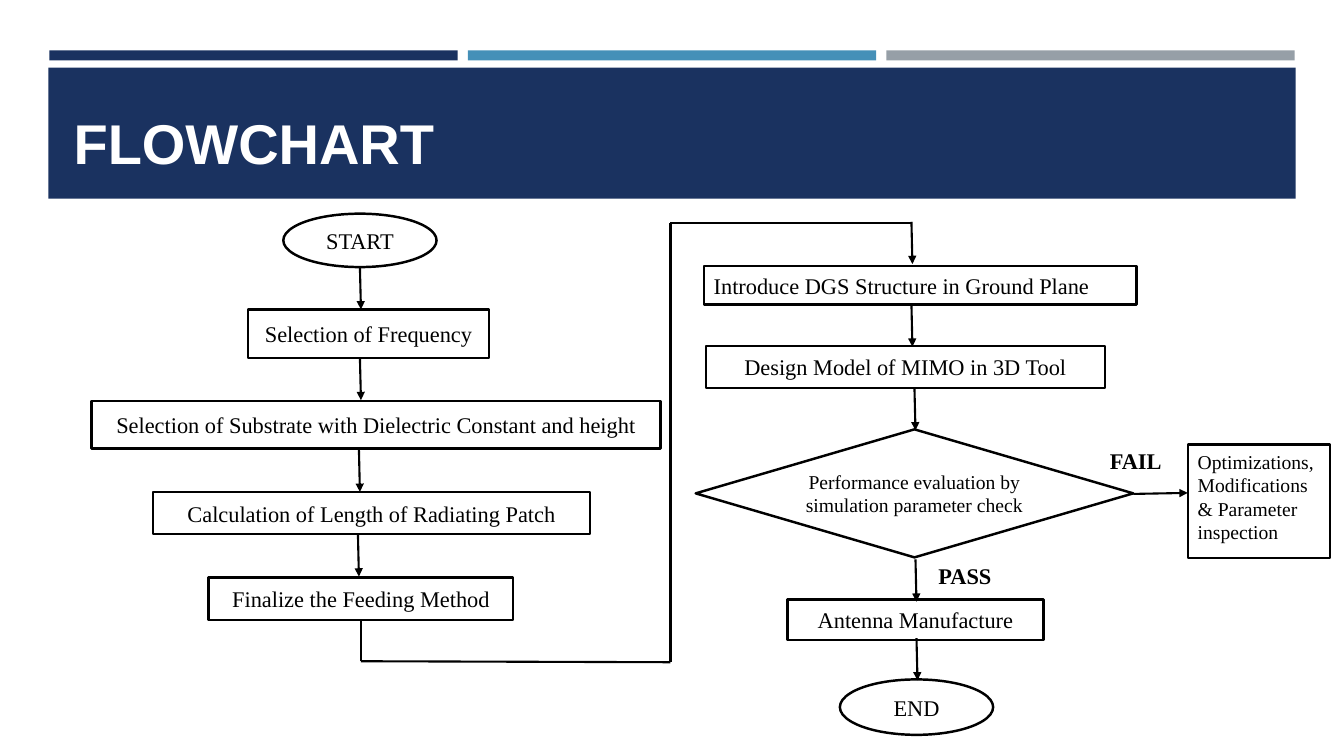
from pptx import Presentation
from pptx.dml.color import RGBColor
from pptx.enum.shapes import MSO_CONNECTOR as CONN, MSO_SHAPE as SHAPE
from pptx.enum.text import MSO_ANCHOR as ANCHOR, PP_ALIGN as ALIGN
from pptx.oxml.ns import qn
from pptx.util import Inches, Pt
from lxml import etree

NAVY, BLUE, GRAY = "1A3260", "4590B8", "969FA7"
BLACK, WHITE = "000000", "FFFFFF"
SERIF = "Times New Roman"
ARROW_DROP, ARROW_DRIFT = 0.42, 0.01

# kind, box (left, top, width, height), text, size
CENTERED_STEPS = [
    (SHAPE.OVAL, (2.81, 2.12, 1.52, 0.53), "START", 16),
    (SHAPE.RECTANGLE, (2.46, 3.07, 2.39, 0.48), "Selection of Frequency", 16),
    (SHAPE.RECTANGLE, (0.91, 3.98, 5.64, 0.47),
     "Selection of Substrate with Dielectric Constant and height", 16),
    (SHAPE.RECTANGLE, (1.52, 4.88, 4.33, 0.42), "Calculation of Length of Radiating Patch", 16),
    (SHAPE.RECTANGLE, (2.07, 5.73, 3.02, 0.42), "Finalize the Feeding Method", 16),
    (SHAPE.RECTANGLE, (7, 3.43, 3.96, 0.42), "Design Model of MIMO in 3D Tool", 16),
    (SHAPE.DIAMOND, (6.9, 4.26, 4.34, 1.27),
     "Performance evaluation by\vsimulation parameter check", 14),
    (SHAPE.RECTANGLE, (7.81, 5.95, 2.54, 0.4), "Antenna Manufacture", 16),
    (SHAPE.OVAL, (8.33, 6.74, 1.52, 0.55), "END", 16),
]
ARROW_STARTS = [(3.57, 2.65), (3.57, 3.55), (3.56, 4.46), (3.55, 5.3),
                (9.04, 2.2), (9.04, 3.02), (9.07, 3.85), (9.08, 5.55), (9.09, 6.33)]
RETURN_ROUTE = [(3.58, 6.15), (3.58, 6.56), (6.65, 6.57), (6.65, 2.21), (9.05, 2.21)]


def rgb(color):
    return RGBColor.from_string(color)


def apply(obj, formats):
    for name, value in formats.items():
        setattr(obj, name, value)


def write(shape, text, size, align=ALIGN.LEFT, font=SERIF, color=BLACK, bold=False,
          anchor=ANCHOR.MIDDLE, wrap=False):
    tf = shape.text_frame
    apply(tf, {"word_wrap": wrap, "vertical_anchor": anchor,
               "margin_left": Inches(0.1), "margin_right": Inches(0.1),
               "margin_top": Inches(0.05), "margin_bottom": Inches(0.05)})
    p = tf.paragraphs[0]
    p.text = text
    p.alignment = align
    for r in p.runs:
        apply(r.font, {"name": font, "size": Pt(size), "bold": bold})
        r.font.color.rgb = rgb(color)


def add_box(s, kind, box, fill, line_width=0):
    sp = s.shapes.add_shape(kind, *map(Inches, box))
    sp.shadow.inherit = False
    sp.fill.solid()
    sp.fill.fore_color.rgb = rgb(fill)
    if line_width:
        sp.line.color.rgb = rgb(BLACK)
        sp.line.width = Pt(line_width)
    else:
        sp.line.fill.background()
    return sp


def add_step(s, kind, box, text, size, align=ALIGN.CENTER, line_width=1.75, **formats):
    write(add_box(s, kind, box, WHITE, line_width), text, size, align, **formats)


def add_line(s, start, end, arrow=False):
    line = s.shapes.add_connector(CONN.STRAIGHT, *map(Inches, (*start, *end)))
    line.line.color.rgb = rgb(BLACK)
    line.line.width = Pt(1.5)
    if arrow:
        etree.SubElement(line.line._get_or_add_ln(), qn("a:tailEnd"), type="triangle")
    etree.SubElement(line.element.spPr, qn("a:effectLst"))


def add_label(s, box, text):
    write(s.shapes.add_textbox(*map(Inches, box)), text, 16, bold=True)


def add_header(s):
    for i, color in enumerate((NAVY, BLUE, GRAY)):
        add_box(s, SHAPE.RECTANGLE, (0.49 + 4.15 * i, 0.5, 4.05, 0.1), color)
    add_box(s, SHAPE.RECTANGLE, (0.48, 0.67, 12.37, 1.3), NAVY)
    title = s.shapes.title
    apply(title, {"left": Inches(0.63), "top": Inches(1.03),
                  "width": Inches(8.61), "height": Inches(0.8)})
    write(title, "FLOWCHART", 40, font="Arial", color=WHITE, bold=True,
          anchor=ANCHOR.TOP, wrap=True)
    # Bring the title in front of the banner
    title.element.getparent().append(title.element)


def main():
    prs = Presentation()
    prs.slide_width, prs.slide_height = Inches(13.33), Inches(7.5)
    s = prs.slides.add_slide(prs.slide_layouts[5])
    add_header(s)

    for step in CENTERED_STEPS:
        add_step(s, *step)
    add_step(s, SHAPE.RECTANGLE, (6.98, 2.64, 4.29, 0.38),
             "Introduce DGS Structure in Ground Plane", 16, ALIGN.LEFT)
    add_step(s, SHAPE.RECTANGLE, (11.78, 4.41, 1.41, 1.13),
             "Optimizations, Modifications & Parameter inspection", 14, ALIGN.LEFT,
             line_width=1.5, anchor=ANCHOR.TOP, wrap=True)

    for x, y in ARROW_STARTS:
        add_line(s, (x, y), (x + ARROW_DRIFT, y + ARROW_DROP), arrow=True)
    add_line(s, (11.24, 4.9), (11.78, 4.89), arrow=True)
    for start, end in zip(RETURN_ROUTE, RETURN_ROUTE[1:]):
        add_line(s, start, end)

    add_label(s, (10.91, 4.39, 0.74, 0.36), "FAIL")
    add_label(s, (9.21, 5.55, 0.87, 0.32), "PASS")
    prs.save("out.pptx")


if __name__ == "__main__":
    main()
